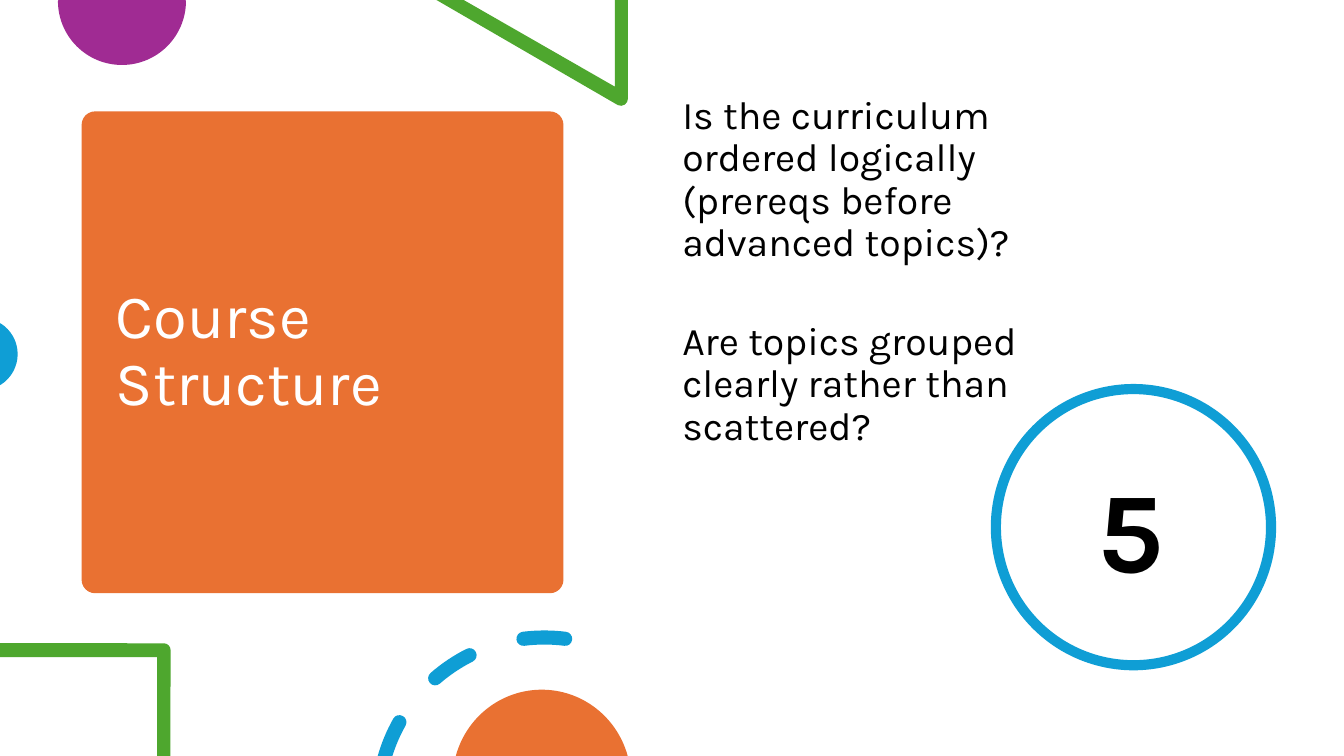
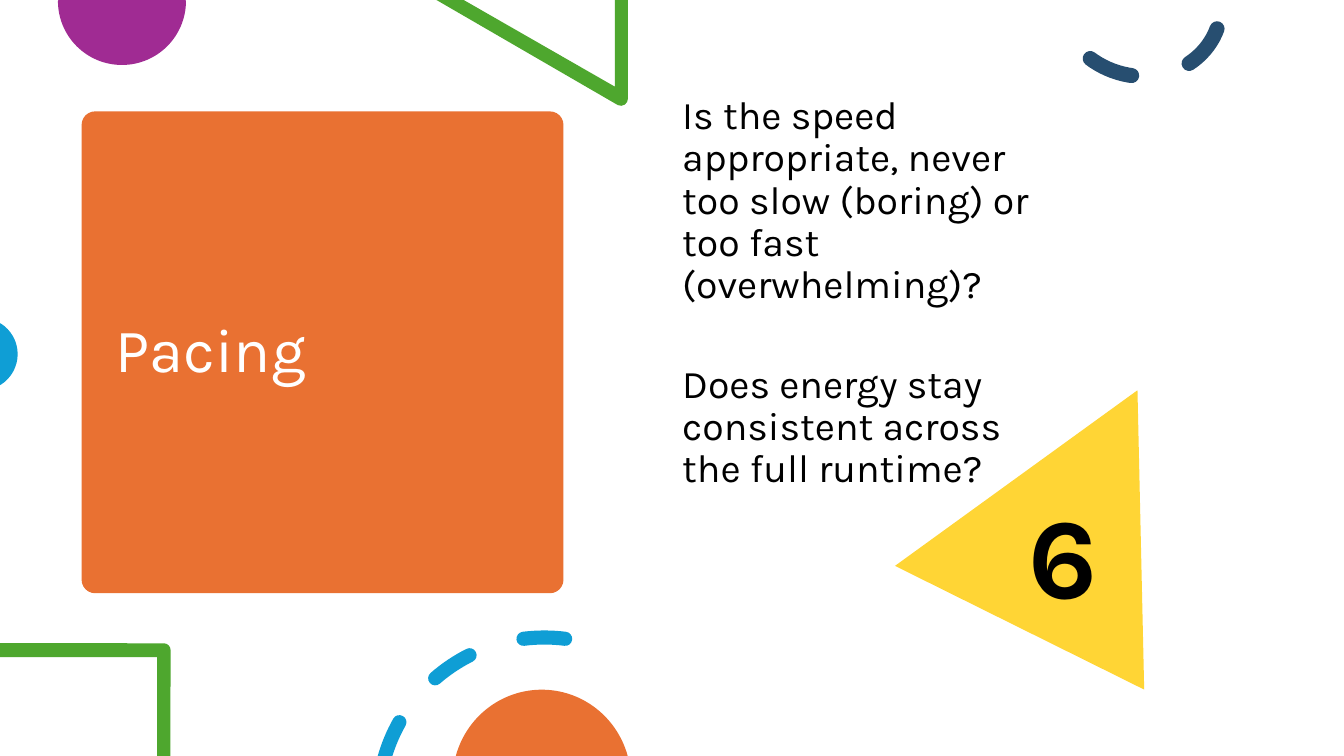
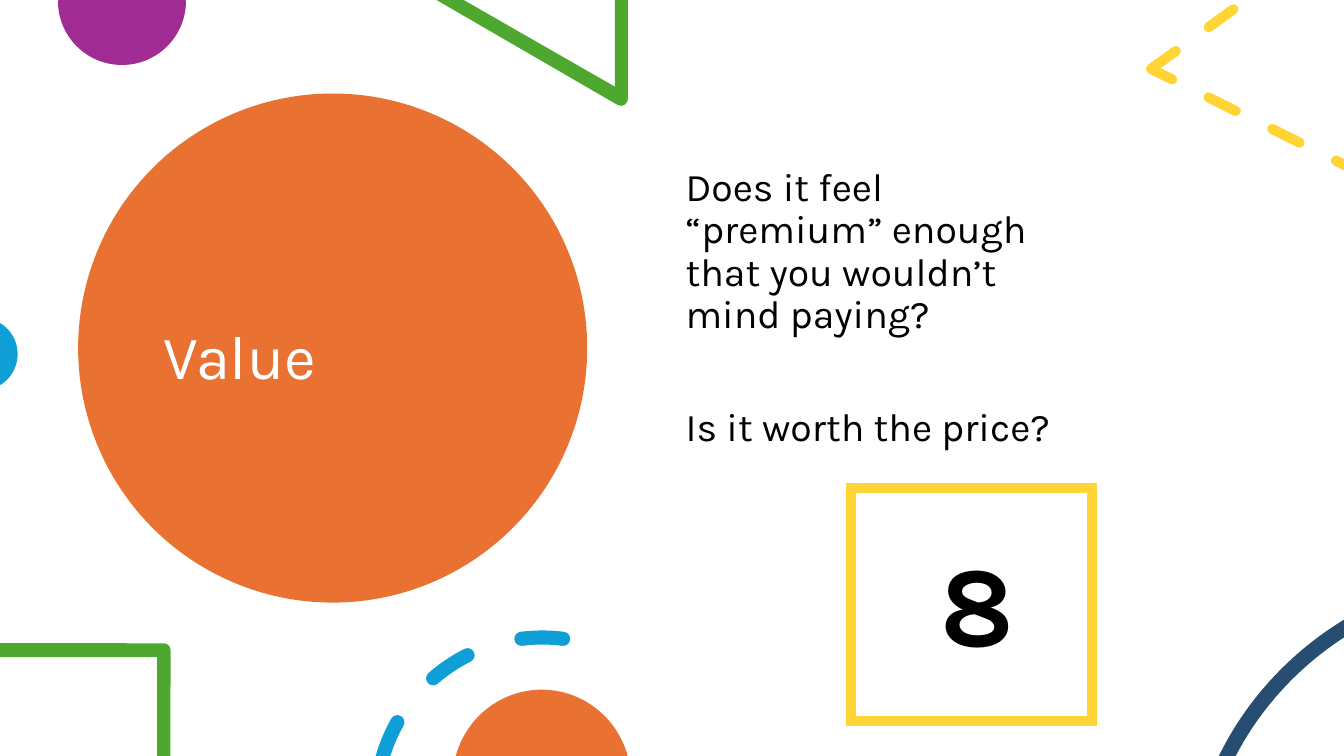
from dataclasses import dataclass
from itertools import chain
from math import asin, ceil, cos, degrees, radians, sin, tan
from typing import NamedTuple, Optional

from lxml.etree import SubElement
from pptx import Presentation
from pptx.dml.color import RGBColor
from pptx.enum.dml import MSO_LINE_DASH_STYLE as Dash
from pptx.enum.shapes import MSO_SHAPE as Preset
from pptx.enum.text import MSO_ANCHOR as Anchor, MSO_AUTO_SIZE as AutoSize, PP_ALIGN as Align
from pptx.oxml.ns import qn
from pptx.util import Inches, Pt

# All lengths are counted in square grid cells.
CELL = Inches(0.1)
COLUMNS, ROWS = 133.33, 75

FONT = "Karla"
WHITE, BLACK = "FFFFFF", "000000"
ORANGE, PURPLE, GREEN = "E97132", "A02B93", "4EA72E"
BLUE, NAVY, YELLOW = "0F9ED5", "274E70", "FFD535"

TITLE_FORMAT = {"size": Pt(44), "name": FONT, "bold": False}
BODY_FORMAT = {"size": Pt(28), "name": FONT, "bold": False}
NUMBER_FORMAT = {"size": Pt(81.4), "name": FONT, "bold": True}

Point = tuple[float, float]
# One point is a line's end; three are a curve's two handles and its end.
Step = tuple[Point, ...]


class Box(NamedTuple):
    column: float
    row: float
    width: float
    height: float


@dataclass(frozen=True)
class Figure:
    preset: Preset
    box: Box
    fill: Optional[str] = None
    line: Optional[str] = None
    weight: float = 7.25
    dashed: bool = False
    mitered: bool = False
    rotation: float = 0
    adjustments: tuple[float, ...] = ()


@dataclass(frozen=True)
class CriterionSlide:
    title: str
    panel: Figure
    title_box: Box
    questions: tuple[str, ...]
    body_box: Box
    question_gap: float
    number: str
    number_corner: Point
    accents: tuple[Figure, ...]
    ring_column: float = 54


SQUARE_PANEL = Figure(Preset.ROUNDED_RECTANGLE, Box(8.1, 11.05, 47.8, 47.8), ORANGE,
                      adjustments=(0.028,))
ROUND_PANEL = Figure(Preset.OVAL, Box(7.75, 9.28, 50.5, 50.5), ORANGE)
SQUARE_TITLE = Box(10.5, 12.15, 43.1, 45.6)

SLIDES = (
    CriterionSlide(
        "Course Structure", SQUARE_PANEL, SQUARE_TITLE,
        ("Is the curriculum ordered logically (prereqs before advanced topics)?",
         "Are topics grouped clearly rather than scattered?"),
        Box(66.7, 9, 41.2, 61), 40.5, "5", (107.9, 47.1),
        (Figure(Preset.OVAL, Box(98.8, 38.6, 27.3, 27.4), line=BLUE),),
    ),
    CriterionSlide(
        "Pacing", SQUARE_PANEL, SQUARE_TITLE,
        ("Is the speed appropriate, never too slow (boring) or too fast (overwhelming)?",
         "Does energy stay consistent across the full runtime?"),
        Box(66.7, 9, 36.4, 64.9), 40.5, "6", (101.05, 49.65),
        (Figure(Preset.ISOSCELES_TRIANGLE, Box(93.2, 37.35, 27.6, 26.3), YELLOW, rotation=26.4),
         Figure(Preset.ARC, Box(105.5, -8.25, 15, 16.5), line=NAVY, weight=10.75, dashed=True,
                rotation=110.3, adjustments=(162, 23.93))),
    ),
    CriterionSlide(
        "Value", ROUND_PANEL, Box(15.2, 13.45, 35.4, 44.5),
        ("Does it feel “premium” enough that you wouldn’t mind paying?",
         "Is it worth the price?"),
        Box(67.03, 16.15, 38.2, 58.8), 50, "8", (92.3, 54.45),
        (Figure(Preset.ISOSCELES_TRIANGLE, Box(118.6, -11.95, 27.6, 26.3), line=YELLOW,
                dashed=True, rotation=26.4),
         Figure(Preset.ARC, Box(120.9, 55.6, 49, 56.4), line=NAVY, weight=10.75,
                rotation=229.4, adjustments=(194.16, 20.63)),
         Figure(Preset.RECTANGLE, Box(84.4, 48.4, 23.9, 23.1), line=YELLOW, mitered=True)),
        ring_column=53.8,
    ),
)


def color(hex_value: str) -> RGBColor:
    return RGBColor.from_string(hex_value)


def cells(*counts: float) -> list[int]:
    return [round(count * CELL) for count in counts]


def paint(shape, fill: Optional[str]) -> None:
    shape.shadow.inherit = False
    if fill:
        shape.fill.solid()
        shape.fill.fore_color.rgb = color(fill)
    else:
        shape.fill.background()
    shape.line.fill.background()


def add_figure(slide, figure: Figure):
    shape = slide.shapes.add_shape(figure.preset, *cells(*figure.box))
    shape.rotation = figure.rotation
    for index, value in enumerate(figure.adjustments):
        shape.adjustments[index] = value
    paint(shape, figure.fill)
    if figure.line:
        shape.line.color.rgb = color(figure.line)
        shape.line.width = Pt(figure.weight)
        outline = shape._element.spPr.find(qn("a:ln"))
        if figure.dashed:
            shape.line.dash_style = Dash.DASH
            outline.set("cap", "rnd")
        if figure.mitered:
            SubElement(outline, qn("a:miter"), lim="800000")
    return shape


def lines(*points: Point) -> list[Step]:
    return [(point,) for point in points]


def arc(center: Point, radii: Point, start: float, end: float, joined: bool = False) -> list[Step]:
    """Curves along an ellipse, led by a line to their start unless joined.

    Degrees run clockwise from the right.
    """
    pieces = ceil(abs(end - start) / 90)
    sweep = radians(end - start) / pieces
    reach = 4 / 3 * tan(sweep / 4)

    def at(angle: float, pull: float = 0) -> Point:
        return (center[0] + radii[0] * (cos(angle) - pull * sin(angle)),
                center[1] + radii[1] * (sin(angle) + pull * cos(angle)))

    angles = [radians(start) + sweep * piece for piece in range(pieces + 1)]
    curves = [(at(first, reach), at(last, -reach), at(last))
              for first, last in zip(angles, angles[1:])]
    return curves if joined else [(at(angles[0]),), *curves]


def ring_dash(center: Point, start: Optional[float], end: float) -> list[Step]:
    """A round-capped piece of the ring; without a start it is cut at the slide's bottom."""
    radius, half = 16.5, 0.7
    outer, inner = radius + half, radius - half

    def first_angle(edge_radius: float) -> float:
        if start is not None:
            return start
        return 180 + degrees(asin((ROWS - center[1]) / -edge_radius))

    def cap(angle: float, turn: float) -> list[Step]:
        middle = (center[0] + radius * cos(radians(angle)),
                  center[1] + radius * sin(radians(angle)))
        return arc(middle, (half, half), turn, turn + 180, joined=True)

    steps = arc(center, (outer, outer), first_angle(outer), end)
    steps += cap(end, end)
    steps += arc(center, (inner, inner), end, first_angle(inner), joined=True)
    if start is not None:
        steps += cap(start, start + 180)
    return steps


def add_outline(slide, fill: str, *contours: list[Step]) -> None:
    builder = None
    for contour in contours:
        first, *rest = [tuple(cells(*point)) for point in chain.from_iterable(contour)]
        if builder is None:
            builder = slide.shapes.build_freeform(*first)
        else:
            builder.move_to(*first)
        builder.add_line_segments(rest, close=True)
    shape = builder.convert_to_shape()
    paint(shape, fill)

    segments = iter(list(shape._element.iter(qn("a:lnTo"))))
    for step in chain.from_iterable(contour[1:] for contour in contours):
        parts = [next(segments) for _ in step]
        if len(parts) == 3:
            bend_segments(parts)


def bend_segments(parts: list) -> None:
    """Turn three straight segments into one curve with the same points."""
    outline = parts[0].getparent()
    curve = SubElement(outline, qn("a:cubicBezTo"))
    parts[0].addprevious(curve)
    for part in parts:
        curve.append(part[0])
        outline.remove(part)


def add_edge_decorations(slide, ring_column: float) -> None:
    add_outline(slide, PURPLE, [*lines((5.8, 0), (18.4, 0)),
                                *arc((12.1, 0.1), (6.35, 6.35), 0, 180)])
    add_outline(slide, GREEN, [*lines((62.3, 0), (61, 0), (61, 8.6), (46, 0), (43.3, 0)),
                               *arc((61.6, 9.8), (0.7, 0.7), 115, 0)])
    add_outline(slide, BLUE, [*lines((0, 38.2), (0, 32.1)),
                              *arc((-1.85, 35.13), (3.6, 3.6), -58, 58)])
    add_outline(slide, GREEN, [*lines((0, 63.8), (0, 65.2), (15.6, 65.2), (15.6, ROWS),
                                      (16.9, ROWS)),
                               *arc((16.25, 64.5), (0.68, 0.68), 0, -90)])
    ring_center = (ring_column, 79.75)
    add_outline(slide, BLUE, *(ring_dash(ring_center, start, end)
                               for start, end in ((None, 209.4), (229, 243.3), (262.8, 277.2))))
    add_outline(slide, ORANGE, arc((53.75, 77.4), (8.85, 8.98), 195.5, 344.5))


def write_text(shape, texts: tuple[str, ...], font_format: dict, hex_value: str,
               line_spacing: float, anchor: Anchor, gaps: tuple[float, ...]) -> None:
    frame = shape.text_frame
    frame.word_wrap = True
    frame.auto_size = AutoSize.NONE
    frame.vertical_anchor = anchor
    for index, (text, gap) in enumerate(zip(texts, gaps)):
        paragraph = frame.add_paragraph() if index else frame.paragraphs[0]
        paragraph.alignment = Align.LEFT
        paragraph.line_spacing = line_spacing
        paragraph.space_before = Pt(gap)
        run = paragraph.add_run()
        run.text = text
        run.font.color.rgb = color(hex_value)
        for name, value in font_format.items():
            setattr(run.font, name, value)


def add_criterion_slide(presentation, content: CriterionSlide) -> None:
    slide = presentation.slides.add_slide(presentation.slide_layouts[5])
    slide.background.fill.solid()
    slide.background.fill.fore_color.rgb = color(WHITE)

    panel = add_figure(slide, content.panel)
    title = slide.shapes.title
    title.left, title.top, title.width, title.height = cells(*content.title_box)
    write_text(title, (content.title,), TITLE_FORMAT, WHITE, 0.9, Anchor.MIDDLE, (0,))
    panel._element.addnext(title._element)

    add_edge_decorations(slide, content.ring_column)
    body = slide.shapes.add_textbox(*cells(*content.body_box))
    write_text(body, content.questions, BODY_FORMAT, BLACK, 0.9, Anchor.TOP,
               (10, content.question_gap))
    for accent in content.accents:
        add_figure(slide, accent)
    number = slide.shapes.add_textbox(*cells(*content.number_corner, 22.4, 12.9))
    write_text(number, (content.number,), NUMBER_FORMAT, BLACK, 0.8, Anchor.MIDDLE, (0,))


def main() -> None:
    presentation = Presentation()
    presentation.slide_width, presentation.slide_height = cells(COLUMNS, ROWS)
    for content in SLIDES:
        add_criterion_slide(presentation, content)
    presentation.save("out.pptx")


if __name__ == "__main__":
    main()
